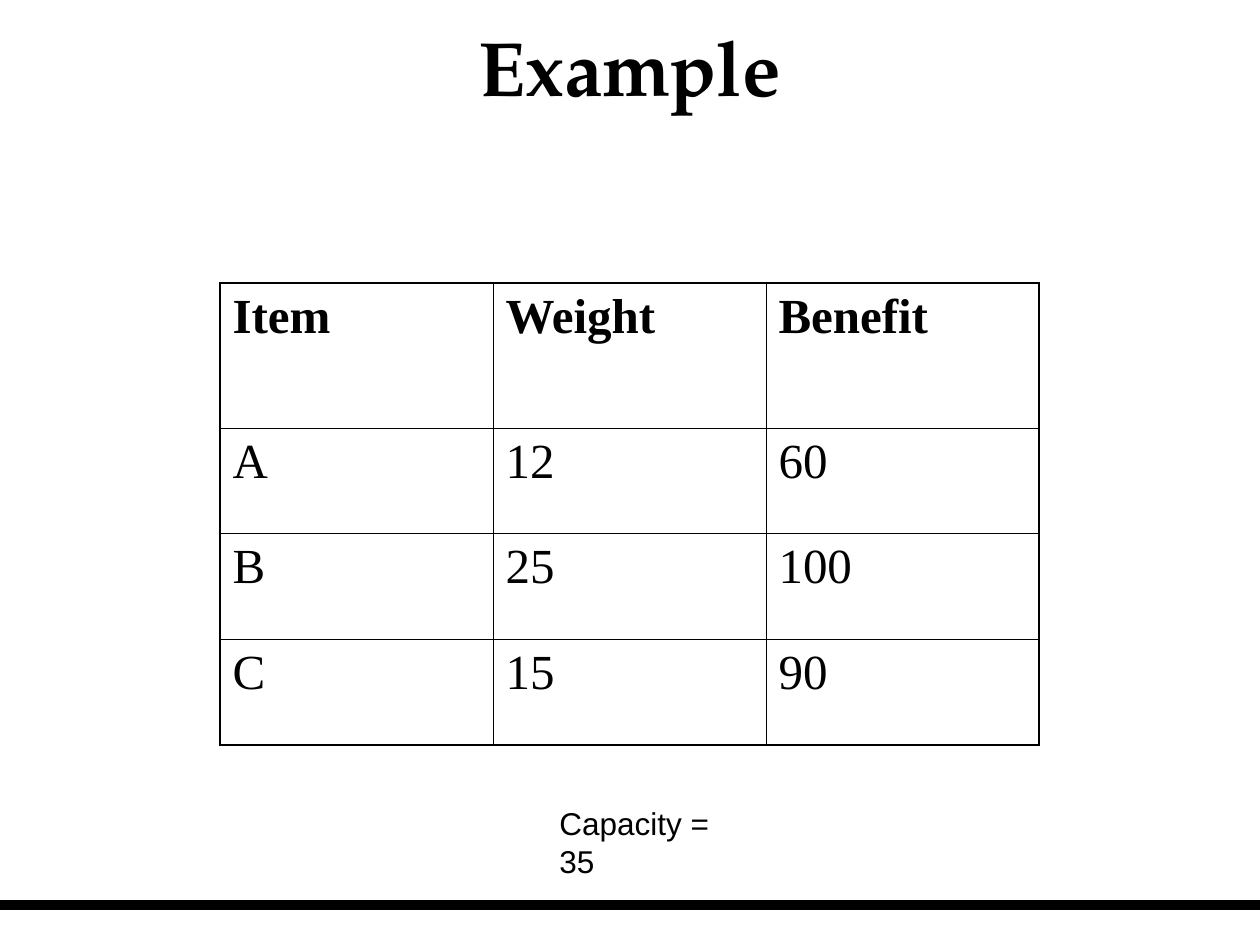
from lxml.etree import SubElement
from pptx import Presentation
from pptx.dml.color import RGBColor
from pptx.enum.shapes import MSO_CONNECTOR
from pptx.enum.text import MSO_ANCHOR, MSO_AUTO_SIZE, PP_ALIGN
from pptx.oxml import parse_xml
from pptx.oxml.ns import nsdecls, qn
from pptx.util import Pt

SCALE = 914400 / 126
BLACK = "000000"
WHITE = "FFFFFF"
OUTER, INNER = 1.08, 0.45
ITEMS = [
    ["Item", "Weight", "Benefit"],
    ["A", "12", "60"],
    ["B", "25", "100"],
    ["C", "15", "90"],
]


def px(n):
    return round(n * SCALE)


def color(value):
    return RGBColor.from_string(value)


def write(tf, text, size, font, bold=False, align=PP_ALIGN.LEFT):
    p = tf.paragraphs[0]
    p.alignment = align
    r = p.add_run()
    r.text = text
    r.font.size = Pt(size)
    r.font.name = font
    r.font.bold = bold
    r.font.color.rgb = color(BLACK)


def add_text(s, box, text, wrap=True, anchor=MSO_ANCHOR.TOP, **fmt):
    tf = s.shapes.add_textbox(*map(px, box)).text_frame
    tf.word_wrap = wrap
    tf.auto_size = MSO_AUTO_SIZE.NONE if wrap else MSO_AUTO_SIZE.SHAPE_TO_FIT_TEXT
    tf.vertical_anchor = anchor
    write(tf, text, **fmt)


def set_borders(cell, widths):
    tcPr = cell._tc.get_or_add_tcPr()
    for i, (side, width) in enumerate(zip("LRTB", widths)):
        tcPr.insert(i, parse_xml(
            f'<a:ln{side} {nsdecls("a")} w="{Pt(width)}"><a:solidFill>'
            f'<a:srgbClr val="{BLACK}"/></a:solidFill></a:ln{side}>'))


def add_items(s, box, header_height):
    left, top, width, height = box
    n_rows, n_cols = len(ITEMS), len(ITEMS[0])
    table = s.shapes.add_table(n_rows, n_cols, *map(px, box)).table
    table.horz_banding = False
    for col in table.columns:
        col.width = px(width / n_cols)
    for i, row in enumerate(table.rows):
        row.height = px((height - header_height) / (n_rows - 1) if i else header_height)
    for i, values in enumerate(ITEMS):
        for j, value in enumerate(values):
            cell = table.cell(i, j)
            cell.fill.solid()
            cell.fill.fore_color.rgb = color(WHITE)
            edges = (j == 0, j == n_cols - 1, i == 0, i == n_rows - 1)
            set_borders(cell, [OUTER if edge else INNER for edge in edges])
            write(cell.text_frame, value, size=28, font="Times New Roman", bold=i == 0)


def add_rule(s, left, y, width):
    line = s.shapes.add_connector(
        MSO_CONNECTOR.STRAIGHT, px(left), px(y), px(left + width), px(y))
    line.line.color.rgb = color(BLACK)
    line.line.width = Pt(6)
    SubElement(line._element.spPr, qn("a:effectLst"))


def main():
    prs = Presentation()
    prs.slide_width, prs.slide_height = px(1260), px(945)
    s = prs.slides.add_slide(prs.slide_layouts[6])
    add_rule(s, 0, 905, 1260)
    add_text(s, (6, 9, 1248, 113), "Example", anchor=MSO_ANCHOR.MIDDLE, size=44,
             font="TeX Gyre Pagella", bold=True, align=PP_ALIGN.CENTER)
    add_items(s, (220, 283, 819, 462), header_height=145)
    add_text(s, (547, 798, 218, 50), "Capacity = 35", wrap=False, size=18, font="Arial")
    prs.save("out.pptx")


if __name__ == "__main__":
    main()
